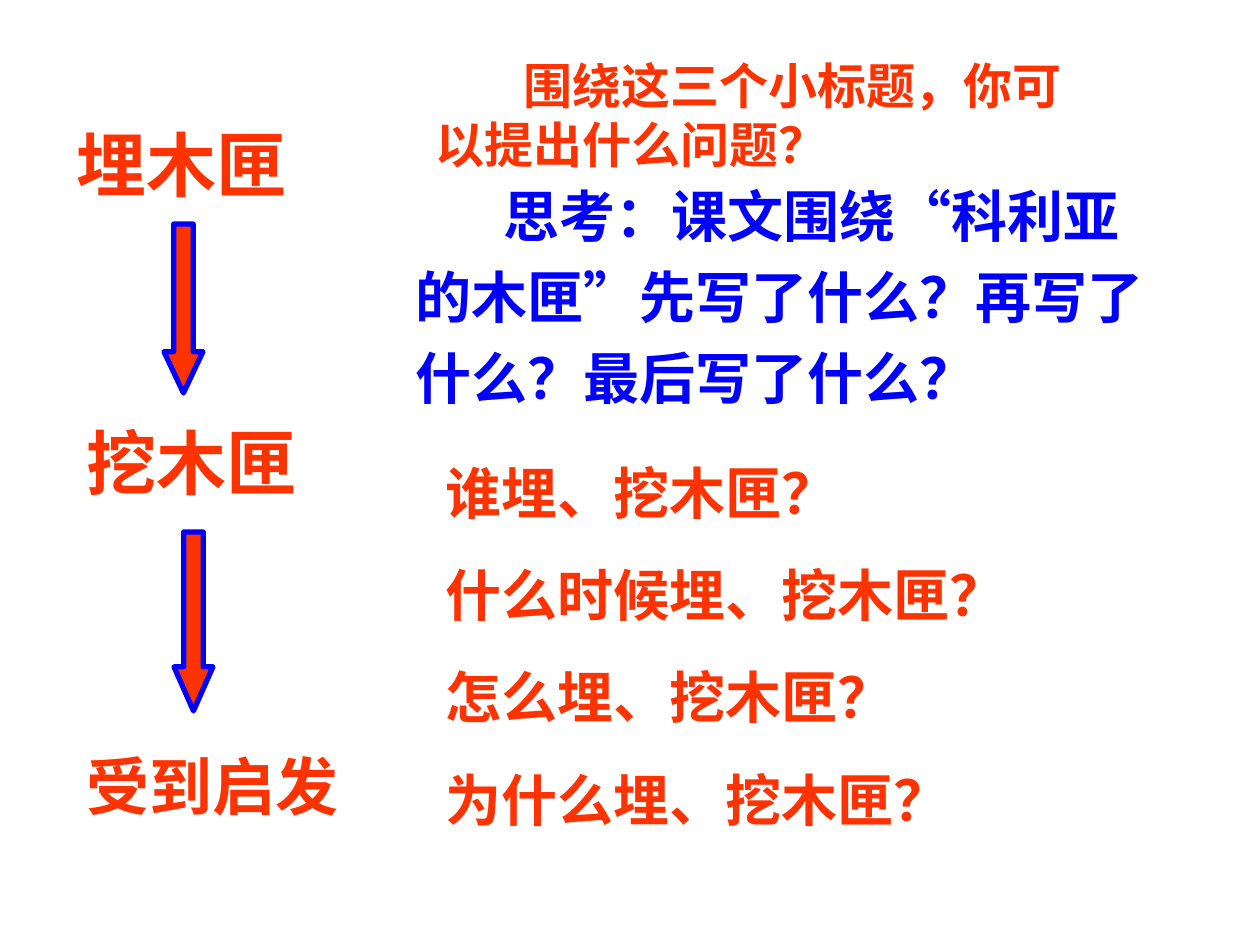
from dataclasses import dataclass

from lxml import etree
from pptx import Presentation
from pptx.dml.color import RGBColor
from pptx.enum.shapes import MSO_SHAPE
from pptx.enum.text import MSO_ANCHOR, MSO_AUTO_SIZE, PP_ALIGN
from pptx.oxml.ns import qn
from pptx.util import Emu, Pt

DOWN_ARROW = MSO_SHAPE.DOWN_ARROW
TOP = MSO_ANCHOR.TOP
NO_AUTOFIT = MSO_AUTO_SIZE.NONE
LEFT = PP_ALIGN.LEFT
TWO_CONTENT_LAYOUT = 3
EMU_PER_PX = 914400 / 126


def px(length):
    """Turn a length in px into EMU."""
    return Emu(round(length * EMU_PER_PX))


@dataclass(frozen=True)
class Theme:
    """Colours, font and type sizes of the slide."""

    red: RGBColor = RGBColor(0xFF, 0x33, 0x00)
    blue: RGBColor = RGBColor(0x00, 0x00, 0xFF)
    font: str = "Arial"
    stage: int = 40
    outcome: int = 36
    body: int = 32
    question: int = 28
    outline: int = 3


class SlideBuilder:
    """Draws styled elements on the current slide."""

    def __init__(self, slide, theme):
        """Keep the slide and its theme."""
        self.slide = slide
        self.theme = theme

    def fill_text(self, shape, lines, size, color, gap=0, indent=0):
        """Fill a shape with plain bold paragraphs."""
        frame = shape.text_frame
        frame.word_wrap = True
        frame.auto_size = NO_AUTOFIT
        frame.vertical_anchor = TOP
        frame.text = "\n".join(lines)
        for index, paragraph in enumerate(frame.paragraphs):
            first = index == 0
            paragraph.alignment = LEFT
            paragraph.space_before = Pt(0 if first else gap)
            properties = paragraph._p.get_or_add_pPr()
            properties.set("marL", "0")
            properties.set("indent", str(px(indent if first else 0)))
            etree.SubElement(properties, qn("a:buNone"))
            for run in paragraph.runs:
                run.font.name = self.theme.font
                run.font.size = Pt(size)
                run.font.bold = True
                run.font.color.rgb = color

    def placeholder(self, index, box, lines, size, color, gap=0, indent=0):
        """Move a placeholder to a box and fill it."""
        shape = self.slide.placeholders[index]
        shape.left, shape.top, shape.width, shape.height = map(px, box)
        self.fill_text(shape, lines, size, color, gap, indent)

    def label(self, box, text, size):
        """Add a red one-line label."""
        shape = self.slide.shapes.add_textbox(*map(px, box))
        self.fill_text(shape, [text], size, self.theme.red)

    def arrow(self, box, head):
        """Add an outlined arrow pointing down."""
        shape = self.slide.shapes.add_shape(DOWN_ARROW, *map(px, box))
        shape.shadow.inherit = False
        shape.adjustments[1] = head
        shape.fill.solid()
        shape.fill.fore_color.rgb = self.theme.red
        shape.line.color.rgb = self.theme.blue
        shape.line.width = Pt(self.theme.outline)


def main():
    """Build and save the slide."""
    presentation = Presentation()
    presentation.slide_width = px(1260)
    presentation.slide_height = px(945)
    layout = presentation.slide_layouts[TWO_CONTENT_LAYOUT]
    theme = Theme()
    builder = SlideBuilder(presentation.slides.add_slide(layout), theme)

    builder.placeholder(
        0, (423, 49, 684, 131), ["围绕这三个小标题，你可以提出什么问题？"],
        theme.question, theme.red, indent=88)
    builder.placeholder(
        1, (403, 175, 827, 311),
        ["思考：课文围绕“科利亚", "的木匣”先写了什么？再写了", "什么？最后写了什么？"],
        theme.body, theme.blue, gap=8, indent=88)
    builder.placeholder(
        2, (433, 452, 745, 387),
        ["谁埋、挖木匣？", "什么时候埋、挖木匣？", "怎么埋、挖木匣？", "为什么埋、挖木匣？"],
        theme.body, theme.red, gap=20)

    builder.label((64, 115, 268, 97), "埋木匣", theme.stage)
    builder.arrow((164, 224, 39, 169), 1.06)
    builder.label((74, 413, 258, 97), "挖木匣", theme.stage)
    builder.arrow((174, 532, 39, 179), 1.13)
    builder.label((74, 741, 338, 88), "受到启发", theme.outcome)

    presentation.save("out.pptx")


if __name__ == "__main__":
    main()
